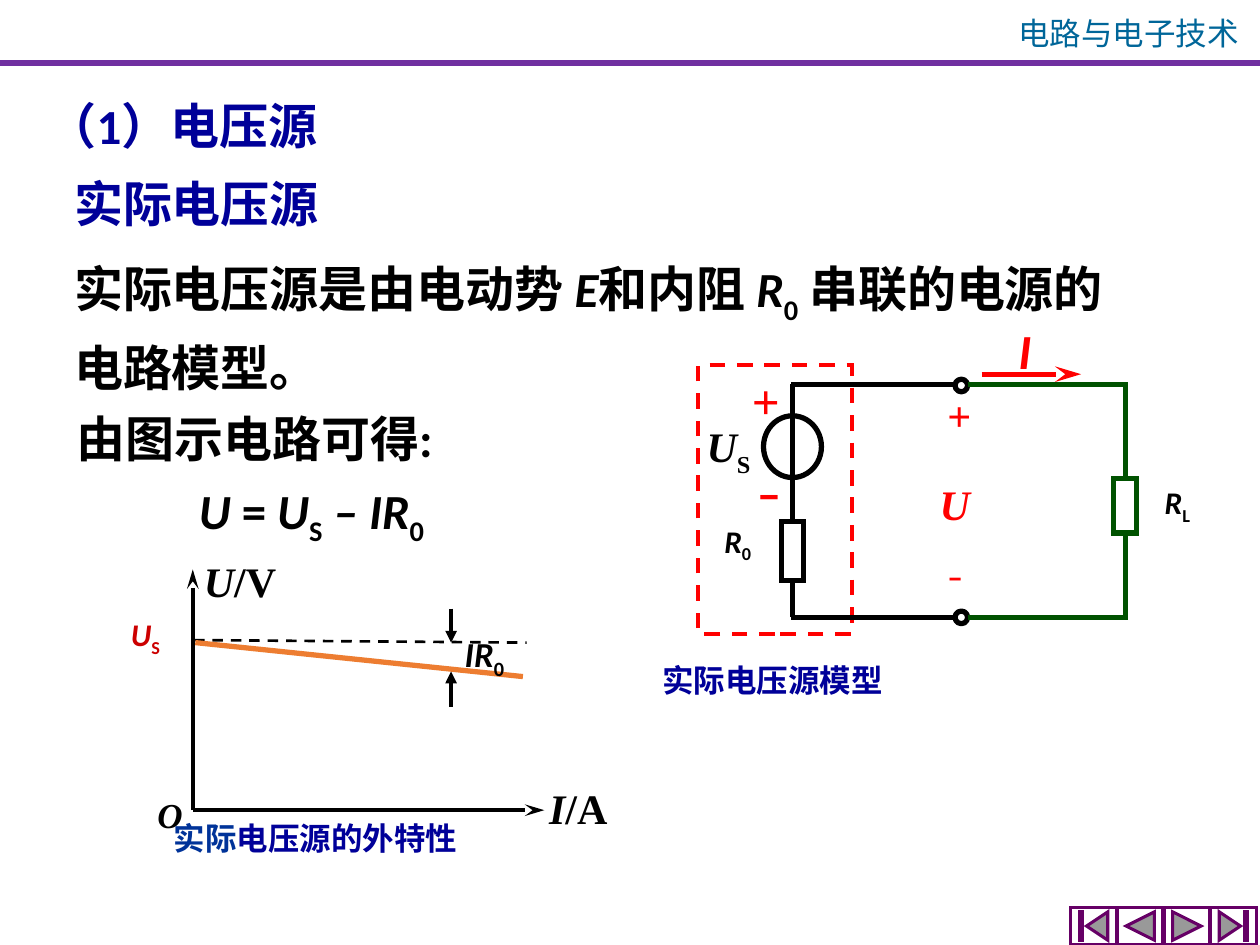
"""Build a slide on the real voltage source: its equation, circuit model and characteristic."""
from dataclasses import dataclass

from lxml import etree
from pptx import Presentation
from pptx.dml.color import RGBColor
from pptx.enum.dml import MSO_LINE
from pptx.enum.shapes import MSO_CONNECTOR, MSO_SHAPE
from pptx.enum.text import MSO_ANCHOR, MSO_AUTO_SIZE, PP_ALIGN
from pptx.oxml.ns import qn
from pptx.util import Inches, Pt

LEFT, CENTER = PP_ALIGN.LEFT, PP_ALIGN.CENTER
TOP, MIDDLE = MSO_ANCHOR.TOP, MSO_ANCHOR.MIDDLE
FIT = MSO_AUTO_SIZE.SHAPE_TO_FIT_TEXT
STRAIGHT = MSO_CONNECTOR.STRAIGHT
RECT, OVAL = MSO_SHAPE.RECTANGLE, MSO_SHAPE.OVAL
DASH = MSO_LINE.DASH
BUTTONS = (MSO_SHAPE.ACTION_BUTTON_BEGINNING, MSO_SHAPE.ACTION_BUTTON_BACK_OR_PREVIOUS,
           MSO_SHAPE.ACTION_BUTTON_FORWARD_OR_NEXT, MSO_SHAPE.ACTION_BUTTON_END)


@dataclass(frozen=True)
class Theme:
    black: str = "000000"
    white: str = "FFFFFF"
    header: str = "006699"
    rule: str = "7030A0"
    button: str = "660066"
    navy: str = "000099"
    blue: str = "003399"
    red: str = "FF0000"
    dark_red: str = "CC0000"
    green: str = "005200"
    orange: str = "ED7D31"
    sans: str = "Calibri"
    serif: str = "Times New Roman"
    cjk: str = "Noto Sans CJK SC"
    body: int = 28
    symbol: int = 24
    axis: int = 20
    label: int = 18


T = Theme()
prs = Presentation()
prs.slide_width, prs.slide_height = Inches(10), Inches(7.5)
s = prs.slides.add_slide(prs.slide_layouts[6])


def text(box, *paragraphs, size=T.label, color=T.black, font=T.sans, bold=True, align=LEFT,
         anchor=TOP, wrap=False, spacing=None, indents=()):
    tb = s.shapes.add_textbox(*map(Inches, box))
    tf = tb.text_frame
    tf.word_wrap, tf.auto_size, tf.vertical_anchor = wrap, FIT, anchor
    for n, runs in enumerate(paragraphs):
        p = tf.add_paragraph() if n else tf.paragraphs[0]
        p.alignment, p.line_spacing = align, spacing
        if n < len(indents):
            p._p.get_or_add_pPr().set("marL", str(Inches(indents[n])))
        for words, style, *tint in runs:
            r = p.add_run()
            r.text = words
            r.font.size, r.font.name = Pt(size), font
            r.font.bold, r.font.italic = bold, style == "italic"
            r.font.color.rgb = RGBColor.from_string(tint[0] if tint else color)
            rPr = r._r.get_or_add_rPr()
            etree.SubElement(rPr, qn("a:ea")).set("typeface", T.cjk)
            if style == "sub":
                rPr.set("baseline", "-25000")


def line(x1, y1, x2, y2, color=T.black, width=3, head=None, length="med", dash=None,
         start=None, end=None):
    cx = s.shapes.add_connector(STRAIGHT, *map(Inches, (x1, y1, x2, y2)))
    cx.line.color.rgb, cx.line.width = RGBColor.from_string(color), Pt(width)
    if dash:
        cx.line.dash_style = dash
    if head:
        tail = etree.SubElement(cx.line._get_or_add_ln(), qn("a:tailEnd"))
        tail.set("type", head)
        tail.set("len", length)
    etree.SubElement(cx._element.spPr, qn("a:effectLst"))
    if start:
        cx.begin_connect(*start)
    if end:
        cx.end_connect(*end)


text((7.91, 0.06, 2.09, 0.4), [("电路与电子技术", "")], color=T.header, font=T.cjk,
     bold=False, align=CENTER, wrap=True)
for y in (0.49, 0.51):
    line(0, y, 10, y, T.rule, 1.5)

text((0.28, 0.71, 2.82, 0.58), [("（1）电压源", "")], size=T.body, color=T.navy, wrap=True)
text((0.49, 1.33, 3.39, 0.58), [("实际电压源", "")], size=T.body, color=T.navy, wrap=True)
text((0.49, 1.9, 8.63, 1.18),
     [("实际电压源是由电动势 ", ""), ("E", "italic"), ("和内阻 ", ""), ("R", "italic"),
      ("0", "sub"), (" 串联的电源的电路模型。", "")],
     size=T.body, wrap=True, spacing=1.2)
text((0.51, 3.1, 3.73, 1.18), [("由图示电路可得:", "")],
     [("U ", "italic"), ("=", ""), (" U", "italic"), ("S", "sub"), (" – IR", "italic"),
      ("0", "sub")],
     size=T.body, wrap=True, spacing=1.2, indents=(0, 0.97))

shapes = {}
for name, kind, box, color, width, fill in (
    ("frame", RECT, (5.54, 2.9, 1.22, 2.13), T.red, 2.25, None),
    ("source", OVAL, (6.06, 3.3, 0.46, 0.49), T.black, 3, None),
    ("R0", RECT, (6.2, 4.14, 0.18, 0.47), T.black, 3, T.white),
    ("RL", RECT, (8.84, 3.8, 0.18, 0.43), T.green, 3, None),
    ("upper terminal", OVAL, (7.58, 3.01, 0.1, 0.1), T.black, 3, None),
    ("lower terminal", OVAL, (7.58, 4.85, 0.1, 0.1), T.black, 3, None),
    *((kind, kind, (8.5 + 0.37 * n, 7.2, 0.36, 0.3), T.button, 1.75, T.white)
      for n, kind in enumerate(BUTTONS)),
):
    sp = s.shapes.add_shape(kind, *map(Inches, box))
    sp.shadow.inherit = False
    sp.line.color.rgb, sp.line.width = RGBColor.from_string(color), Pt(width)
    if name == "frame":
        sp.line.dash_style = DASH
    if kind != OVAL:
        etree.SubElement(sp.line._get_or_add_ln(), qn("a:miter")).set("lim", "800000")
    if fill:
        sp.fill.solid()
        sp.fill.fore_color.rgb = RGBColor.from_string(fill)
    else:
        sp.fill.background()
    shapes[name] = sp

for y in (3.05, 4.9):
    line(7.57, y, 6.28, y)
    line(7.68, y, 8.95, y, T.green)
for x, name, color in ((6.29, "R0", T.black), (8.93, "RL", T.green)):
    line(x, 3.05, x, 4, color, end=(shapes[name], 0))
    line(x, 4.5, x, 4.9, color, start=(shapes[name], 2))
line(7.79, 2.97, 8.58, 2.97, T.red, head="stealth", length="lg")

text((7.96, 2.49, 0.35, 0.57), [("I", "italic")], size=T.body, color=T.red, align=CENTER,
     anchor=MIDDLE)
text((9.06, 3.75, 0.57, 0.51), [("R", "italic"), ("L", "sub")], align=CENTER, anchor=MIDDLE)
text((5.65, 4.09, 0.87, 0.5), [("R", "italic"), ("0", "sub")], wrap=True)
text((5.51, 3.29, 0.66, 0.5), [("U", "italic"), ("S", "sub")], size=T.symbol, font=T.serif,
     wrap=True)
text((5.87, 2.89, 0.37, 0.54), [("+", "")], size=T.body, color=T.red, font=T.serif, wrap=True)
text((5.91, 3.62, 0.4, 0.55), [("–", "")], size=T.body, color=T.red)
text((7.42, 3.04, 0.39, 0.51), [("+", "")], size=T.symbol, color=T.red, font=T.serif)
text((7.36, 3.75, 0.45, 0.51), [("U", "italic")], size=T.symbol, color=T.red, font=T.serif)
text((7.42, 4.37, 0.37, 0.51), [("–", "")], color=T.red)
text((5.16, 5.2, 2.63, 0.5), [("实际电压源模型", "")], color=T.navy)

line(1.54, 5.08, 4.18, 5.1, width=1.5, dash=DASH)
line(1.55, 5.1, 4.15, 5.37, T.orange)
for x, y in ((4.32, 6.43), (1.53, 4.52)):
    line(1.53, 6.43, x, y, width=2.25, head="stealth", length="lg")
for y1, y2 in ((4.83, 5.1), (5.61, 5.33)):
    line(3.58, y1, 3.58, y2, width=2.25, head="triangle")

text((0.94, 4.83, 0.65, 0.5), [("U", "italic"), ("S", "sub")], color=T.dark_red)
text((1.15, 6.25, 0.4, 0.43), [("O", "italic")], size=T.axis, font=T.serif, align=CENTER,
     anchor=MIDDLE)
text((4.26, 6.16, 0.67, 0.51), [("I", "italic"), ("/A", "")], size=T.symbol, font=T.serif)
text((1.52, 4.36, 0.78, 0.51), [("U", "italic"), ("/V", "")], size=T.symbol, font=T.serif)
text((3.59, 4.97, 0.67, 0.44), [("IR", "italic"), ("0", "sub")], size=T.axis, wrap=True)
text((1.28, 6.45, 3.31, 0.5), [("实际", "", T.blue), ("电压源的外特性", "")], color=T.navy)

prs.save("out.pptx")
